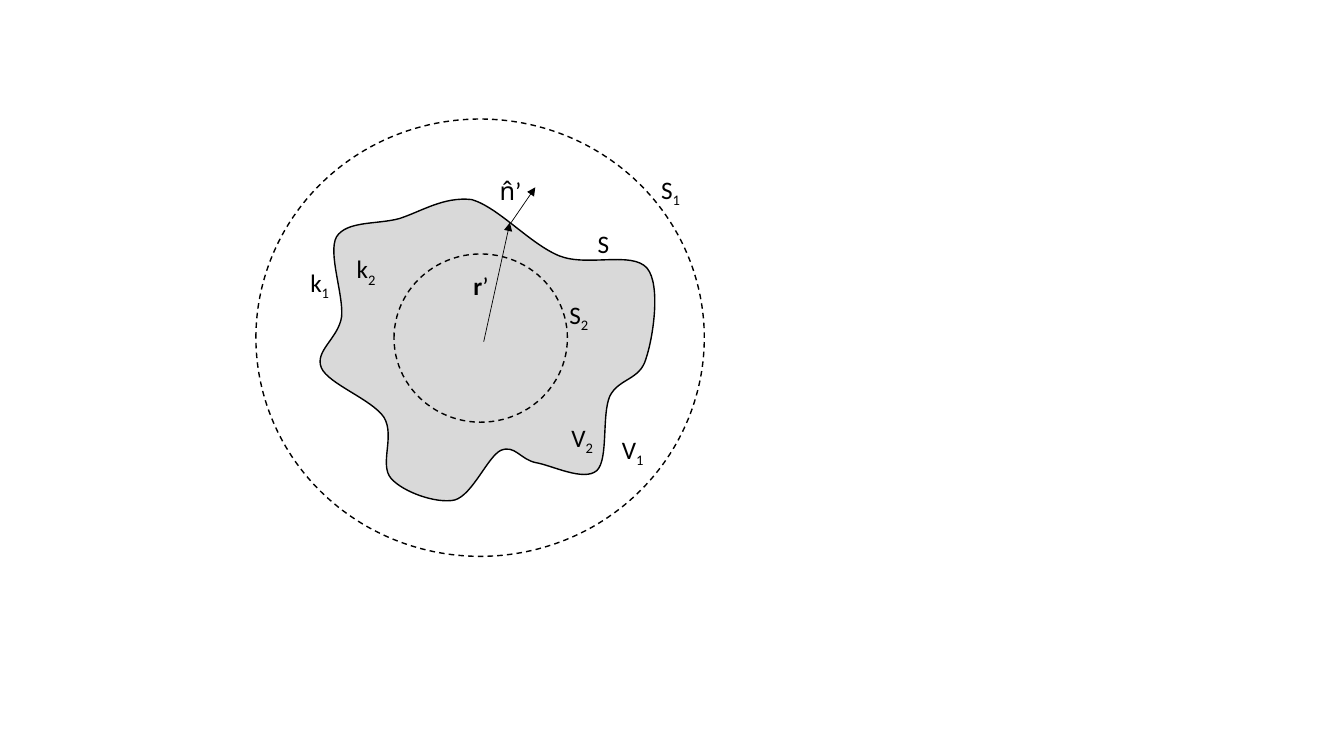
from lxml.etree import SubElement
from pptx import Presentation
from pptx.dml.color import RGBColor
from pptx.enum.dml import MSO_LINE_DASH_STYLE as Dash
from pptx.enum.shapes import MSO_CONNECTOR as Connector, MSO_SHAPE as Shape
from pptx.enum.text import MSO_AUTO_SIZE as AutoSize
from pptx.oxml.ns import qn
from pptx.util import Cm, Pt

BLACK = RGBColor(0x00, 0x00, 0x00)
GREY = RGBColor(0xD9, 0xD9, 0xD9)


def set_outline(part, width, dash=None):
    part.line.color.rgb = BLACK
    part.line.width = Pt(width)
    if dash:
        part.line.dash_style = dash


deck = Presentation()
deck.slide_width, deck.slide_height = Cm(33.87), Cm(19.05)
slide = deck.slides.add_slide(deck.slide_layouts[6])
diagram = slide.shapes.add_group_shape().shapes

surface_start = (1006, 551)
surface_curves = [
    [(950, 566), (874, 556), (848, 597)],
    [(826, 638), (866, 742), (861, 798)],
    [(853, 853), (792, 884), (810, 927)],
    [(828, 968), (937, 1006), (968, 1052)],
    [(996, 1100), (955, 1171), (986, 1206)],
    [(1016, 1240), (1100, 1270), (1146, 1260)],
    [(1191, 1247), (1229, 1151), (1262, 1135)],
    [(1298, 1120), (1311, 1158), (1351, 1166)],
    [(1392, 1173), (1471, 1214), (1504, 1186)],
    [(1534, 1158), (1516, 1046), (1537, 998)],
    [(1560, 953), (1613, 958), (1628, 904)],
    [(1646, 851), (1666, 719), (1631, 676)],
    [(1593, 632), (1481, 673), (1410, 645)],
    [(1336, 615), (1257, 523), (1189, 503)],
    [(1118, 495), (1062, 533), surface_start],
]
outline = diagram.build_freeform(*surface_start, scale=Cm(0.01))
outline.add_line_segments([point for curve in surface_curves for point in curve])
body = outline.convert_to_shape()
body.shadow.inherit = False
body.fill.solid()
body.fill.fore_color.rgb = GREY
set_outline(body, 1)

segments = list(body._element.iter(qn("a:lnTo")))
for first, second, third in zip(segments[::3], segments[1::3], segments[2::3]):
    first.tag = qn("a:cubicBezTo")
    for segment in (second, third):
        first.append(segment[0])
        segment.getparent().remove(segment)

for left, top, width, height in [(9.93, 6.4, 4.37, 4.24), (6.45, 3, 11.3, 11.02)]:
    sphere = diagram.add_shape(Shape.OVAL, Cm(left), Cm(top), Cm(width), Cm(height))
    sphere.shadow.inherit = False
    sphere.fill.background()
    set_outline(sphere, 1, Dash.DASH)

for start_x, start_y, end_x, end_y in [(12.88, 5.61, 13.49, 4.72), (12.19, 8.61, 12.85, 5.61)]:
    vector = diagram.add_connector(
        Connector.STRAIGHT, Cm(start_x), Cm(start_y), Cm(end_x), Cm(end_y))
    set_outline(vector, 0.5)
    properties = vector._element.spPr
    SubElement(properties.find(qn("a:ln")), qn("a:tailEnd"), type="triangle")
    SubElement(properties, qn("a:effectLst"))

PLAIN, BOLD, SUBSCRIPT = {}, {"b": "1"}, {"baseline": "-25000"}
labels = [
    (15.42, 10.82, [("V", PLAIN), ("1", SUBSCRIPT)]),
    (7.57, 6.6, [("k", PLAIN), ("1", SUBSCRIPT)]),
    (8.74, 6.27, [("k", PLAIN), ("2", SUBSCRIPT)]),
    (16.41, 4.27, [("S", PLAIN), ("1", SUBSCRIPT)]),
    (14.1, 7.42, [("S", PLAIN), ("2", SUBSCRIPT)]),
    (14.15, 10.52, [("V", PLAIN), ("2", SUBSCRIPT)]),
    (14.81, 5.64, [("S", PLAIN)]),
    (12.34, 4.29, [("n̂’", PLAIN)]),
    (11.68, 6.68, [("r", BOLD), ("’", PLAIN)]),
]
label_font = {"name": "Calibri", "size": Pt(18)}
for left, top, pieces in labels:
    label = diagram.add_textbox(Cm(left), Cm(top), Cm(1.32), Cm(1.02)).text_frame
    label.word_wrap = True
    label.auto_size = AutoSize.SHAPE_TO_FIT_TEXT
    for text, formatting in pieces:
        symbol = label.paragraphs[0].add_run()
        symbol.text = text
        symbol.font.color.rgb = BLACK
        for attribute, value in label_font.items():
            setattr(symbol.font, attribute, value)
        for attribute, value in formatting.items():
            symbol._r.get_or_add_rPr().set(attribute, value)

deck.save("out.pptx")
